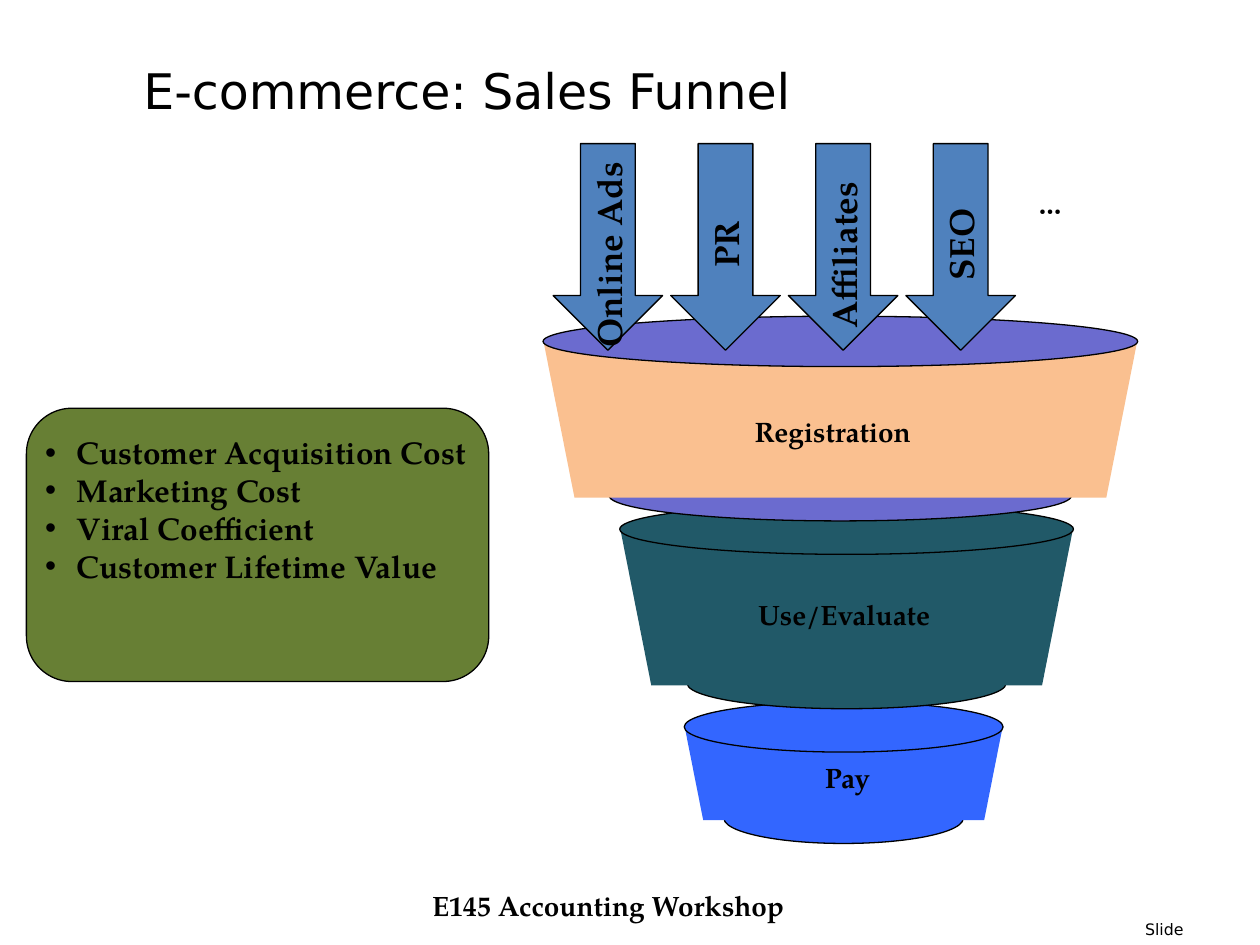
from dataclasses import dataclass

from lxml import etree
from pptx import Presentation
from pptx.dml.color import RGBColor
from pptx.enum.shapes import MSO_SHAPE
from pptx.enum.text import MSO_ANCHOR, PP_ALIGN
from pptx.oxml.ns import qn
from pptx.util import Pt

ELLIPSE = MSO_SHAPE.OVAL
TRAPEZOID = MSO_SHAPE.TRAPEZOID
DOWN_ARROW = MSO_SHAPE.DOWN_ARROW
ROUNDED = MSO_SHAPE.ROUNDED_RECTANGLE
LEFT, CENTER = PP_ALIGN.LEFT, PP_ALIGN.CENTER
TOP, BOTTOM = MSO_ANCHOR.TOP, MSO_ANCHOR.BOTTOM


@dataclass(frozen=True)
class Theme:
    heading_font: str = "DejaVu Sans"
    body_font: str = "TeX Gyre Pagella"
    ink: str = "000000"
    panel: str = "677F34"
    arrow: str = "4F81BD"
    blue: str = "3366FF"
    teal: str = "215968"
    violet: str = "6B6BCF"
    peach: str = "FAC090"
    title_size: float = 28
    channel_size: float = 20
    bullet_size: float = 18
    label_size: float = 16
    number_size: float = 9
    line_width: float = 0.75


THEME = Theme()


@dataclass(frozen=True)
class Box:
    left: float
    top: float
    width: float
    height: float

    def lengths(self) -> list:
        return [Pt(v) for v in (self.left, self.top, self.width, self.height)]


@dataclass(frozen=True)
class Stage:
    name: str
    body: Box
    base_width: float
    body_color: str
    rim_color: str
    label: Box
    align: PP_ALIGN = LEFT


@dataclass(frozen=True)
class Channel:
    name: str
    length: float


# Funnel stages from the bottom up, so that upper ones overlap lower ones
STAGES = [
    Stage("Pay", Box(391, 414, 182.2, 54.7), 136.8, THEME.blue, THEME.blue,
          Box(428.4, 431.3, 111.6, 26), CENTER),
    Stage("Use/Evaluate", Box(354.2, 301, 259.2, 90.7), 182.2, THEME.teal,
          THEME.teal, Box(426.2, 337.7, 131.8, 26)),
    Stage("Registration", Box(310.3, 193.7, 339.8, 90.7), 264.2, THEME.peach,
          THEME.violet, Box(424.1, 233.3, 125.3, 26)),
]
RIM_HEIGHT = 28.8
RIM_RISE = 13
BASE_OVERLAP = 15.5

# Channels feeding the funnel, with the length of each turned label
CHANNELS = [Channel("Online Ads", 136), Channel("PR", 44.6),
            Channel("Affiliates", 114.5), Channel("SEO", 59)]
FIRST_ARROW = Box(316.1, 82.1, 62.6, 118.1)
ARROW_PITCH = 67.2
CHANNEL_MIDDLE = 137.8
CHANNEL_HEIGHT = 31

METRICS = ["Customer Acquisition Cost", "Marketing Cost",
           "Viral Coefficient", "Customer Lifetime Value"]
BULLET_INDENT = 18


def add_figure(page, kind: MSO_SHAPE, box: Box, color: str, outlined: bool = True):
    figure = page.shapes.add_shape(kind, *box.lengths())
    figure.shadow.inherit = False
    figure.fill.solid()
    figure.fill.fore_color.rgb = RGBColor.from_string(color)
    if outlined:
        figure.line.color.rgb = RGBColor.from_string(THEME.ink)
        figure.line.width = Pt(THEME.line_width)
    else:
        figure.line.fill.background()
    return figure


def add_bullet(para) -> None:
    properties = para._p.get_or_add_pPr()
    properties.set("marL", str(Pt(BULLET_INDENT)))
    properties.set("indent", str(-Pt(BULLET_INDENT)))
    font = etree.SubElement(properties, qn("a:buFont"))
    font.set("typeface", "Arial")
    etree.SubElement(properties, qn("a:buChar")).set("char", "•")


def add_text(page, box: Box, lines: list[str], size: float,
             font: str = THEME.body_font, bold: bool = True,
             align: PP_ALIGN = LEFT, anchor: MSO_ANCHOR = TOP,
             bulleted: bool = False):
    text_box = page.shapes.add_textbox(*box.lengths())
    frame = text_box.text_frame
    frame.word_wrap = True
    frame.vertical_anchor = anchor
    for index, line in enumerate(lines):
        para = frame.add_paragraph() if index else frame.paragraphs[0]
        para.alignment = align
        if bulleted:
            add_bullet(para)
        span = para.add_run()
        span.text = line
        span.font.name = font
        span.font.size = Pt(size)
        span.font.bold = bold
        span.font.color.rgb = RGBColor.from_string(THEME.ink)
    return text_box


def add_stage(page, stage: Stage) -> None:
    body = stage.body
    base = Box(body.left + (body.width - stage.base_width) / 2,
               body.top + body.height - BASE_OVERLAP,
               stage.base_width, RIM_HEIGHT)
    rim = Box(body.left, body.top - RIM_RISE, body.width, RIM_HEIGHT)
    add_figure(page, ELLIPSE, base, stage.rim_color)
    wall = add_figure(page, TRAPEZOID, body, stage.body_color, outlined=False)
    wall.adjustments[0] = 0.198
    wall.rotation = 180
    add_figure(page, ELLIPSE, rim, stage.rim_color)
    add_text(page, stage.label, [stage.name], THEME.label_size, align=stage.align)


def add_channel_label(page, channel: Channel, center: float) -> None:
    box = Box(center - channel.length / 2, CHANNEL_MIDDLE - CHANNEL_HEIGHT / 2,
              channel.length, CHANNEL_HEIGHT)
    label = add_text(page, box, [channel.name], THEME.channel_size)
    label.rotation = 270


def main() -> None:
    deck = Presentation()
    deck.slide_width, deck.slide_height = Pt(720), Pt(540)
    page = deck.slides.add_slide(deck.slide_layouts[6])

    # Title and footer
    add_text(page, Box(74.9, 12.2, 563.8, 59.8), ["E-commerce: Sales Funnel"],
             THEME.title_size, THEME.heading_font, bold=False, anchor=BOTTOM)
    add_text(page, Box(239.8, 504, 228.2, 36), ["E145 Accounting Workshop"],
             THEME.label_size)
    add_text(page, Box(647.3, 522, 72, 18), ["Slide"],
             THEME.number_size, THEME.heading_font, bold=False)

    # Funnel
    for stage in STAGES:
        add_stage(page, stage)

    # Channel arrows and their labels
    for index, channel in enumerate(CHANNELS):
        left = FIRST_ARROW.left + index * ARROW_PITCH
        arrow = Box(left, FIRST_ARROW.top, FIRST_ARROW.width, FIRST_ARROW.height)
        add_figure(page, DOWN_ARROW, arrow, THEME.arrow)
        add_channel_label(page, channel, left + FIRST_ARROW.width / 2)
    add_text(page, Box(586.1, 103, 30.2, 26), ["…"], THEME.label_size)

    # Metrics panel
    add_figure(page, ROUNDED, Box(15.1, 233.3, 264.2, 156.2), THEME.panel)
    add_text(page, Box(18.7, 244.1, 270, 205.9), METRICS,
             THEME.bullet_size, bulleted=True)

    deck.save("out.pptx")


if __name__ == "__main__":
    main()
